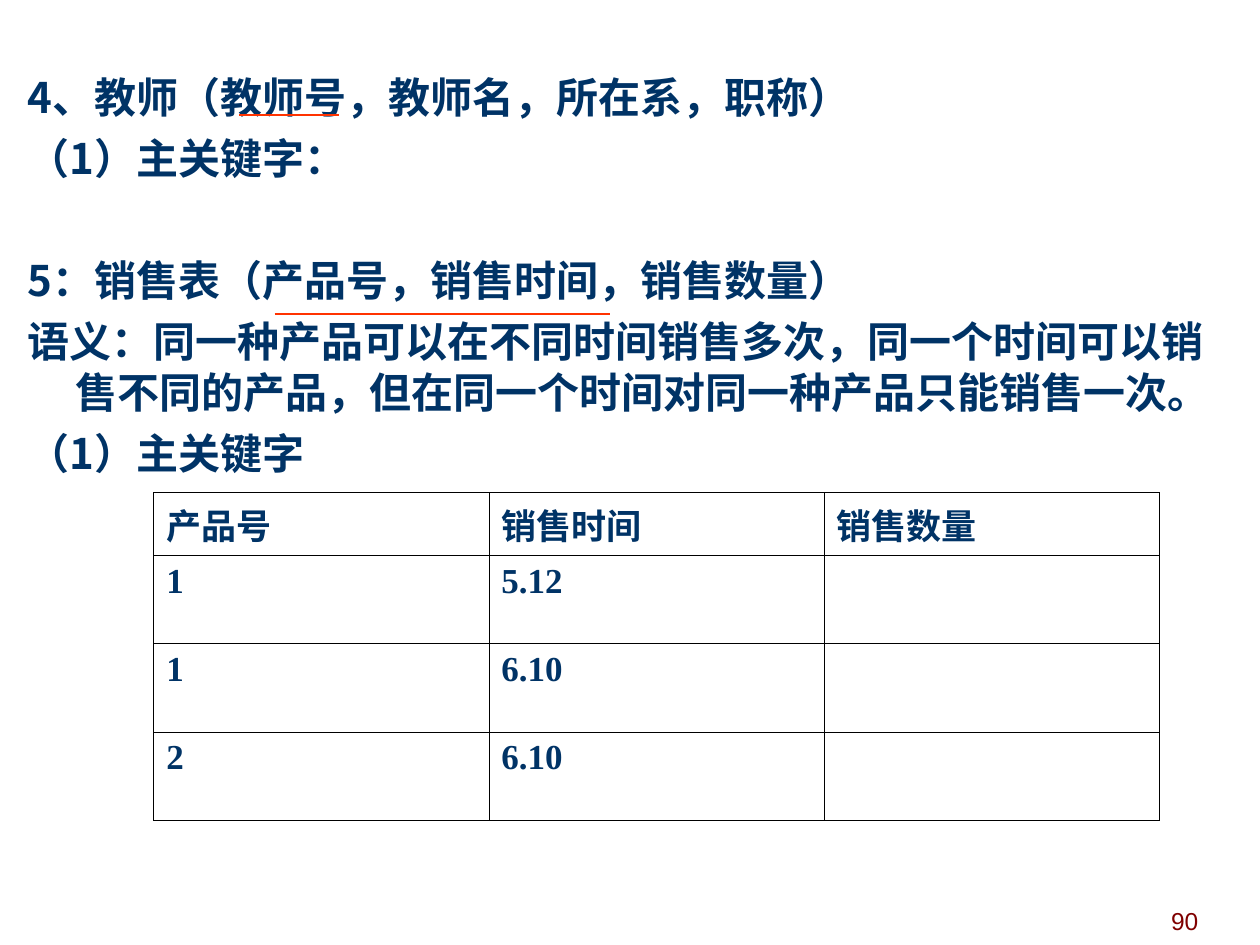
from dataclasses import dataclass
from lxml.etree import SubElement
from pptx import Presentation
from pptx.dml.color import RGBColor as Rgb
from pptx.enum.shapes import MSO_CONNECTOR as Connector
from pptx.enum.text import MSO_ANCHOR as Anchor, MSO_AUTO_SIZE as AutoSize, PP_ALIGN as Align
from pptx.oxml.ns import qn
from pptx.util import Inches, Pt


@dataclass(frozen=True)
class Theme:
    ink: Rgb = Rgb.from_string("003366")
    accent: Rgb = Rgb.from_string("FF3300")
    number: Rgb = Rgb.from_string("800000")
    border: str = "000000"
    cjk: str = "Noto Sans CJK SC"
    serif: str = "Times New Roman"
    sans: str = "Arial"
    body_size: int = 24
    table_size: int = 20
    number_size: int = 14


THEME = Theme()
LINE_GAP, SECTION_GAP = 6, 41
EXERCISES = [
    ("4、教师（教师号，教师名，所在系，职称）", 0),
    ("（1）主关键字：", LINE_GAP),
    ("5：销售表（产品号，销售时间，销售数量）", SECTION_GAP),
    ("语义：同一种产品可以在不同时间销售多次，同一个时间可以销售不同的产品，"
     "但在同一个时间对同一种产品只能销售一次。", LINE_GAP),
    ("（1）主关键字", LINE_GAP),
]
SALES = [
    ("产品号", "销售时间", "销售数量"),
    ("1", "5.12", ""),
    ("1", "6.10", ""),
    ("2", "6.10", ""),
]
KEY_UNDERLINES = [(1.9, 2.69, 0.91), (2.18, 4.84, 2.49)]
PAGE_NUMBER = "90"
COLUMN_WIDTH, HEADER_HEIGHT, ROW_HEIGHT = 2.66, 0.5, 0.7


def style(paragraph, face, size, color, bold=False):
    for run in paragraph.runs:
        font = run.font
        font.name, font.size, font.bold = face, Pt(size), bold
        font.color.rgb = color
        SubElement(run._r.get_or_add_rPr(), qn("a:ea"), typeface=THEME.cjk)


def hang(paragraph):
    properties = paragraph._p.get_or_add_pPr()
    properties.set("marL", str(Inches(0.38)))
    properties.set("indent", str(-Inches(0.38)))
    SubElement(properties, qn("a:buNone"))


def outline(cell):
    properties = cell._tc.get_or_add_tcPr()
    for position, side in enumerate(("a:lnL", "a:lnR", "a:lnT", "a:lnB")):
        line = SubElement(properties, qn(side), w=str(Pt(0.45)))
        fill = SubElement(line, qn("a:solidFill"))
        SubElement(fill, qn("a:srgbClr"), val=THEME.border)
        properties.insert(position, line)


def add_exercises(slide):
    body = slide.placeholders[1]
    body.left, body.top, body.width, body.height = map(Inches, (0.12, 0.52, 9.69, 5.16))
    frame = body.text_frame
    frame.text = "\n".join(text for text, gap in EXERCISES)
    frame.word_wrap, frame.auto_size = True, AutoSize.NONE
    frame.vertical_anchor = Anchor.TOP
    for paragraph, (text, gap) in zip(frame.paragraphs, EXERCISES):
        hang(paragraph)
        paragraph.space_before = Pt(gap)
        style(paragraph, THEME.cjk, THEME.body_size, THEME.ink, True)


def add_sales(slide):
    heights = [HEADER_HEIGHT] + [ROW_HEIGHT] * (len(SALES) - 1)
    columns = len(SALES[0])
    table = slide.shapes.add_table(
        len(SALES), columns, Inches(1.22), Inches(3.91),
        Inches(COLUMN_WIDTH * columns), Inches(sum(heights))).table
    table.first_row = table.horz_banding = False
    for column in table.columns:
        column.width = Inches(COLUMN_WIDTH)
    for row, height, values in zip(table.rows, heights, SALES):
        row.height = Inches(height)
        for cell, value in zip(row.cells, values):
            cell.text = value
            cell.fill.background()
            outline(cell)
            paragraph = cell.text_frame.paragraphs[0]
            hang(paragraph)
            style(paragraph, THEME.serif, THEME.table_size, THEME.ink, True)


def add_underlines(slide):
    for start, end, y in KEY_UNDERLINES:
        underline = slide.shapes.add_connector(
            Connector.STRAIGHT, Inches(start), Inches(y), Inches(end), Inches(y))
        underline.line.color.rgb = THEME.accent
        underline.line.width = Pt(1)
        SubElement(underline._element.spPr, qn("a:effectLst"))


def add_page_number(slide):
    frame = slide.shapes.add_textbox(*map(Inches, (7.21, 6.97, 2.4, 0.5))).text_frame
    frame.word_wrap, frame.vertical_anchor = True, Anchor.BOTTOM
    frame.text = PAGE_NUMBER
    number = frame.paragraphs[0]
    number.alignment = Align.RIGHT
    style(number, THEME.sans, THEME.number_size, THEME.number)


def main():
    deck = Presentation()
    deck.slide_width, deck.slide_height = Inches(10), Inches(7.5)
    slide = deck.slides.add_slide(deck.slide_layouts[1])
    title = slide.shapes.title._element
    title.getparent().remove(title)
    add_page_number(slide)
    add_exercises(slide)
    add_sales(slide)
    add_underlines(slide)
    deck.save("out.pptx")


if __name__ == "__main__":
    main()
